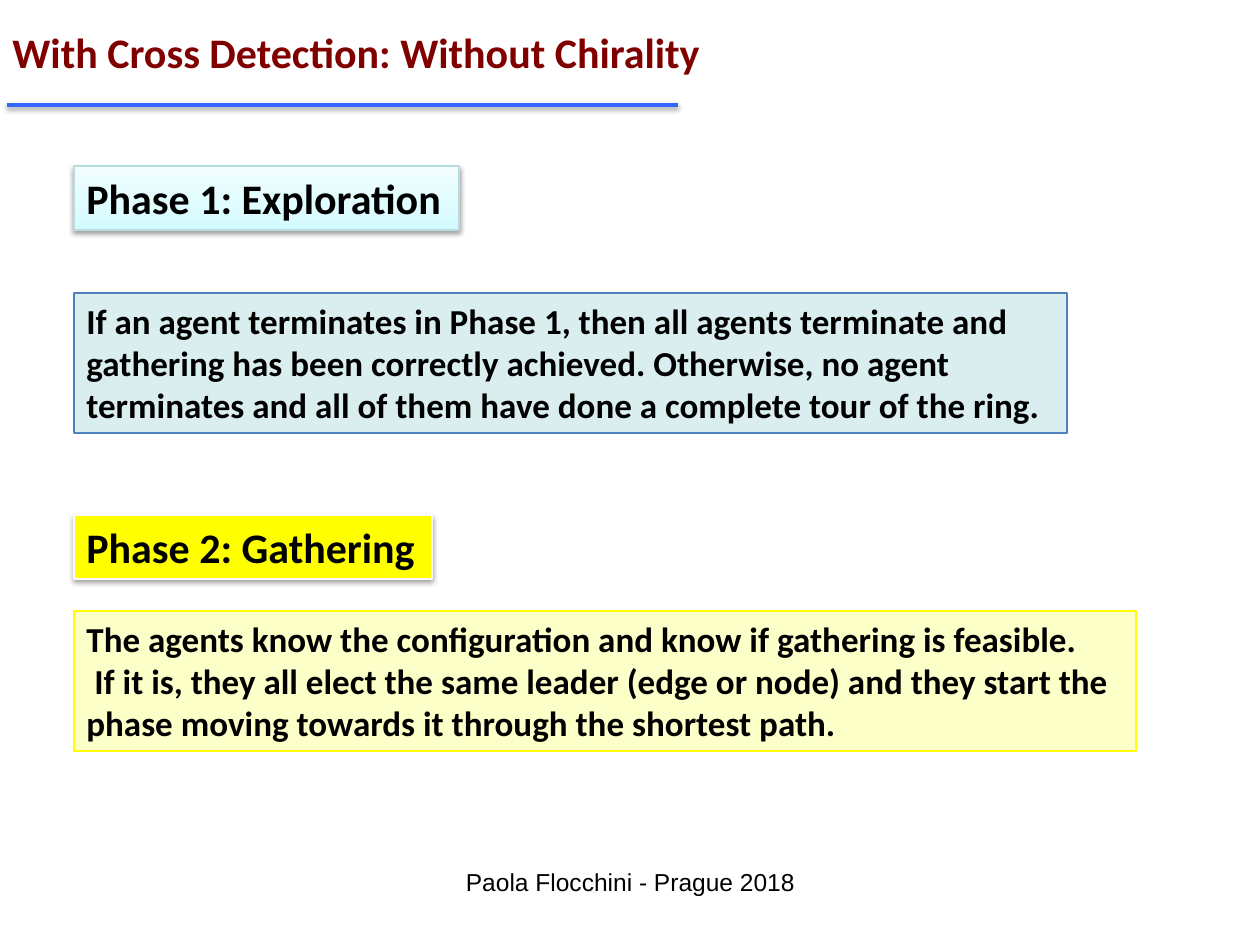
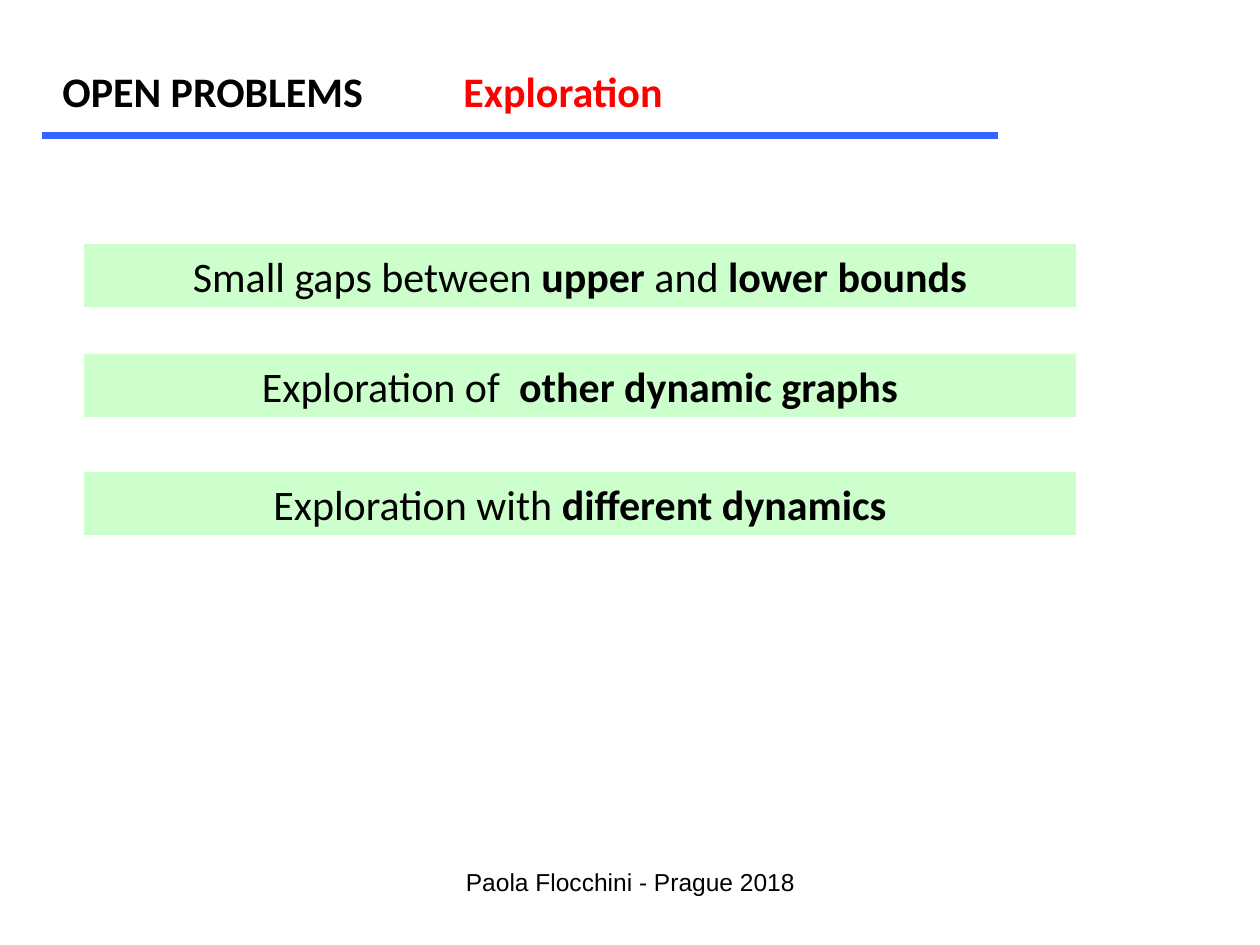
"""Build two slides on gathering phases and open exploration problems."""
from copy import deepcopy

from lxml.etree import SubElement
from pptx import Presentation
from pptx.dml.color import RGBColor
from pptx.enum.shapes import MSO_CONNECTOR as Line, MSO_SHAPE as Shape
from pptx.enum.text import MSO_ANCHOR as Anchor, MSO_AUTO_SIZE as Fit, PP_ALIGN as Align
from pptx.oxml.ns import qn
from pptx.util import Pt

PX = 914400 / 126
COLORS = {
    "text": "000000", "title": "800000", "topic": "FF0000", "rule": "3366FF",
    "result": "DAEDEF", "result_edge": "4F81BD", "phase1_edge": "B6DCDF",
    "phase2": "FFFF00", "phase2_edge": "F9F9F9", "strategy": "FDFFC8",
    "problem": "CCFFCC",
}
PHASE1_STOPS = [(0, "D3FBFF"), (0.35, "DFFCFF"), (1, "F2FEFF")]


def px(*lengths):
    """Turn pixel lengths into EMU."""
    return [round(length * PX) for length in lengths]


def rgb(name):
    """Look up a named colour."""
    return RGBColor.from_string(COLORS[name])


def set_effects(shape, shadow=False):
    """Replace inherited effects by none or by a soft drop shadow."""
    effects = SubElement(shape._element.spPr, qn("a:effectLst"))
    if shadow:
        drop = SubElement(effects, qn("a:outerShdw"), blurRad=str(Pt(3.1)),
                          dist=str(Pt(1.6)), dir="5400000", rotWithShape="0")
        black = SubElement(drop, qn("a:srgbClr"), val="000000")
        SubElement(black, qn("a:alpha"), val="38000")


def write(shape, paragraphs, size=24, color="text", bold=False, font="Calibri",
          align=Align.LEFT, anchor=Anchor.TOP, wrap=True, fit=Fit.SHAPE_TO_FIT_TEXT,
          indent=0):
    """Fill a shape with paragraphs of (text, bold) runs or plain strings."""
    frame = shape.text_frame
    frame.word_wrap, frame.auto_size, frame.vertical_anchor = wrap, fit, anchor
    for number, content in enumerate(paragraphs):
        paragraph = frame.add_paragraph() if number else frame.paragraphs[0]
        paragraph.alignment = align
        if number and indent:
            paragraph._p.get_or_add_pPr().set("indent", str(px(indent)[0]))
        runs = [(content, bold)] if isinstance(content, str) else content
        for text, strong in runs:
            run = paragraph.add_run()
            run.text = text
            run.font.name, run.font.size, run.font.bold = font, Pt(size), strong
            run.font.color.rgb = rgb(color)


def add_label(slide, box, text, **style):
    """Add a text box with one line of text."""
    write(slide.shapes.add_textbox(*px(*box)), [text], **style)


def add_panel(slide, box, paragraphs, fill=None, edge=None, shadow=False, **style):
    """Add a rectangle with text; no fill name means the phase 1 gradient."""
    panel = slide.shapes.add_shape(Shape.RECTANGLE, *px(*box))
    if fill:
        panel.fill.solid()
        panel.fill.fore_color.rgb = rgb(fill)
    else:
        fill_gradient(panel)
    if edge:
        panel.line.color.rgb = rgb(edge)
        panel.line.width = Pt(0.75)
    else:
        panel.line.fill.background()
    set_effects(panel, shadow)
    write(panel, paragraphs, **style)


def fill_gradient(panel):
    """Fill a panel with the phase 1 gradient, running upwards."""
    panel.fill.gradient()
    panel.fill.gradient_angle = 90
    stops = panel._element.spPr.find(".//" + qn("a:gsLst"))
    stops.append(deepcopy(stops[0]))
    for stop, (position, color) in zip(panel.fill.gradient_stops, PHASE1_STOPS):
        stop.position = position
        stop.color.rgb = RGBColor.from_string(color)


def add_rule(slide, left, right, y, width, shadow=False):
    """Draw the blue rule under a heading."""
    rule = slide.shapes.add_connector(Line.STRAIGHT, *px(left, y, right, y))
    rule.line.color.rgb = rgb("rule")
    rule.line.width = Pt(width)
    set_effects(rule, shadow)


def add_footer(slide):
    """Add the shared footer."""
    add_label(slide, (431, 861, 399, 63), "Paola Flocchini - Prague 2018",
              size=14, font="Arial", align=Align.CENTER, fit=Fit.NONE)


def add_phase(slide, box, heading, heading_width, details, gap, heading_style, **style):
    """Place a phase heading with its explanation a gap below."""
    left, top, width, height = box
    heading_height = 64
    add_panel(slide, (left, top, heading_width, heading_height), [heading],
              bold=True, wrap=False, shadow=True, **heading_style)
    offset = heading_height + gap
    add_panel(slide, (left, top + offset, width, height - offset), details,
              size=20, bold=True, **style)


def build_phases(slide):
    """Lay out the two phases of the algorithm."""
    add_label(slide, (0, 20, 722, 115), "With Cross Detection: Without Chirality",
              color="title", bold=True, wrap=False)
    add_rule(slide, 7, 678, 105, 2, shadow=True)
    add_phase(slide, (74, 166, 993, 267), "Phase 1: Exploration", 385,
              ["If an agent terminates in Phase 1, then all agents terminate and "
               "gathering has been correctly achieved. Otherwise, no agent "
               "terminates and all of them have done a complete tour of the ring."],
              63, {"edge": "phase1_edge"}, fill="result", edge="result_edge")
    add_phase(slide, (74, 515, 1062, 236), "Phase 2: Gathering", 358,
              ["The agents know the configuration and know if gathering is feasible.",
               "If it is, they all elect the same leader (edge or node) and they "
               "start the phase moving towards it through the shortest path."],
              32, {"fill": "phase2", "edge": "phase2_edge"},
              fill="strategy", edge="phase2", indent=8)
    add_footer(slide)


def build_open_problems(slide):
    """Lay out the open problems as a column of bands."""
    for left, width, text, color in [(50, 330, "OPEN PROBLEMS", "text"),
                                     (451, 228, "Exploration", "topic")]:
        add_label(slide, (left, 59, width, 63), text, color=color, bold=True, wrap=False)
    add_rule(slide, 42, 998, 136, 4)
    problems = [
        (244, [("Small gaps between ", False), ("upper", True), (" and ", False),
               ("lower bounds", True)]),
        (354, [("Exploration of ", False), (" other dynamic graphs", True)]),
        (472, [("Exploration with ", False), ("different dynamics", True)]),
    ]
    for top, runs in problems:
        add_panel(slide, (84, top, 992, 63), [runs], fill="problem",
                  align=Align.CENTER, anchor=Anchor.MIDDLE)
    add_footer(slide)


def main():
    """Build and save the presentation."""
    deck = Presentation()
    deck.slide_width, deck.slide_height = px(1260, 945)
    for build in (build_phases, build_open_problems):
        build(deck.slides.add_slide(deck.slide_layouts[6]))
    deck.save("out.pptx")


if __name__ == "__main__":
    main()
